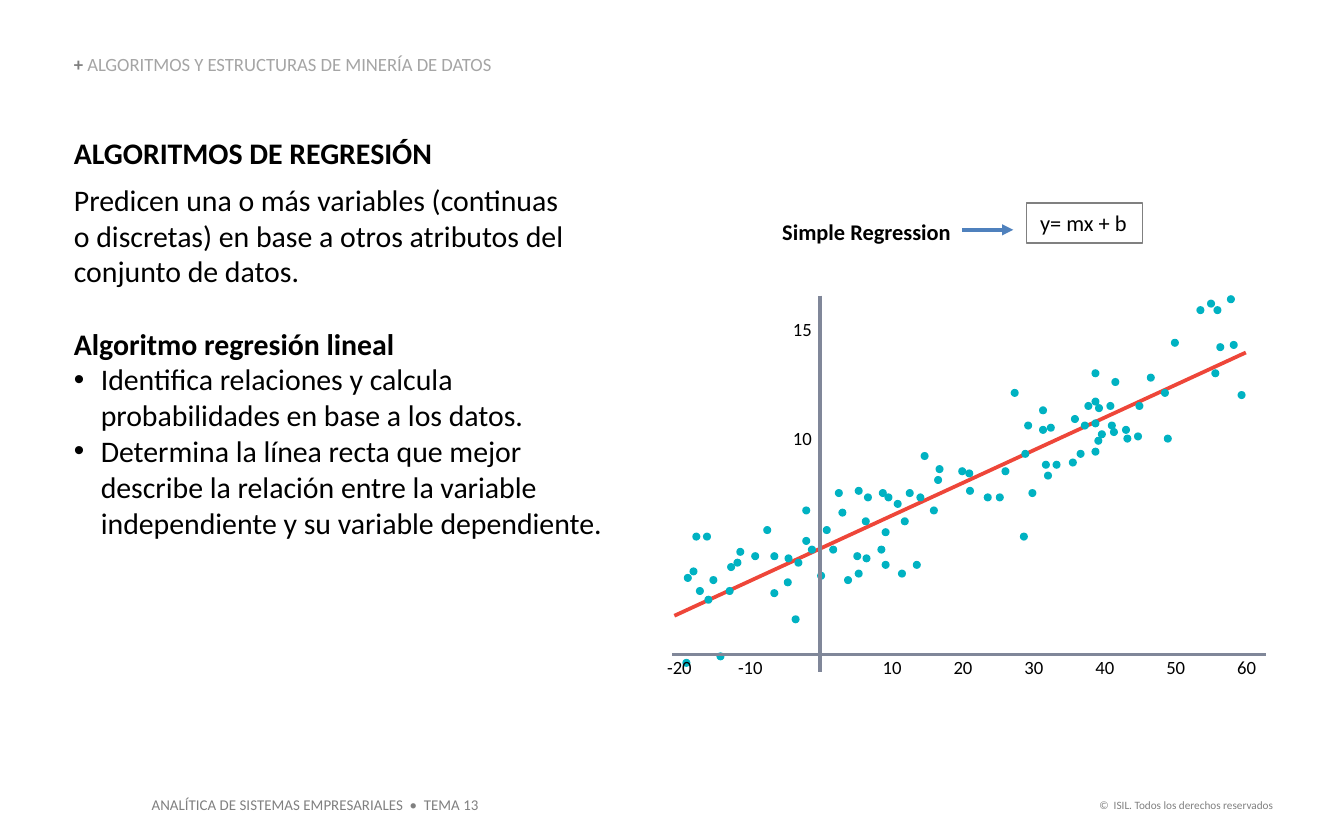
"""Build the slide on linear regression algorithms, with a scatter plot scaled from its data."""
from lxml import etree
from pptx import Presentation
from pptx import util as u
from pptx.dml.color import RGBColor
from pptx.enum import shapes, text
from pptx.oxml.ns import qn

FONT = "Calibri"
BLACK, GRAY, AXIS, RED, TEAL, BLUE = "000000", "808080", "808799", "EE4639", "00B2C2", "4F81BD"
LEFT, CENTER, RIGHT = text.PP_ALIGN.LEFT, text.PP_ALIGN.CENTER, text.PP_ALIGN.RIGHT
NO_MARGINS, PADDED = (0, 0, 0, 0), (0.1, 0.05, 0.1, 0.05)

HEADER = [("+ ", "7F7F7F", True), ("ALGORITMOS Y ESTRUCTURAS DE MINERÍA DE DATOS", "A5A5A5", False)]
BODY = [
    dict(words="ALGORITMOS DE REGRESIÓN", bold=True, after=6),
    dict(words="Predicen una o más variables (continuas \vo discretas) en base a otros atributos "
               "del conjunto de datos."),
    dict(words="Algoritmo regresión lineal", bold=True, before=19.5),
    dict(words="Identifica relaciones y calcula probabilidades en base a los datos.", bullet=True),
    dict(words="Determina la línea recta que mejor describe la relación entre la variable "
               "independiente y su variable dependiente.", bullet=True),
]
FOOTERS = [
    ("ANALÍTICA DE SISTEMAS EMPRESARIALES  •  TEMA 13", (1.03, 5.87, 2.64, 0.24), 8, LEFT),
    ("©  ISIL. Todos los derechos reservados", (8.05, 5.89, 1.52, 0.2), 6, RIGHT),
]

SLOPE, INTERCEPT = 0.15, 5.07
TREND_X = (-20.7, 59.9)
X_TICKS = [v for v in range(-20, 61, 10) if v]
Y_TICKS = [10, 15]
OBSERVATIONS_BY_X_BAND = {
    "-20 to -10": [(-19, -0.2), (-18.8, 3.7), (-18, 4), (-17.6, 5.6), (-17.1, 3.1), (-16.1, 5.6), (-15.9, 2.7),
                   (-15.2, 3.6), (-14.2, 0.1), (-12.9, 3.1), (-12.7, 4.2), (-11.8, 4.4), (-11.4, 4.9)],
    "-10 to 0": [(-9.3, 4.7), (-7.6, 5.9), (-6.6, 4.7), (-6.6, 3), (-4.7, 3.5), (-4.6, 4.6), (-3.6, 1.8),
                 (-3.2, 4.4), (-2.1, 6.8), (-2.1, 5.4), (-1.3, 5)],
    "0 to 10": [(0, 3.8), (0.8, 5.9), (1.7, 5), (2.5, 7.6), (3, 6.7), (3.8, 3.6), (5.1, 4.7), (5.3, 7.7), (5.3, 3.9),
                (6.3, 6.3), (6.4, 4.6), (6.6, 7.4), (8.5, 5), (8.7, 7.6), (9.1, 5.8), (9.1, 4.3), (9.5, 7.4)],
    "10 to 20": [(10.8, 7.1), (11.4, 3.9), (11.8, 6.3), (12.5, 7.6), (13.5, 4.3), (14, 7.4), (14.6, 9.3),
                 (15.9, 6.8), (16.5, 8.2), (16.7, 8.7), (19.9, 8.6)],
    "20 to 30": [(20.9, 8.5), (21, 7.7), (23.5, 7.4), (25.2, 7.4), (26, 8.6), (27.3, 12.2), (28.6, 5.6),
                 (28.8, 9.4), (29.2, 10.7), (29.8, 7.6)],
    "30 to 40": [(31.3, 11.4), (31.3, 10.5), (31.7, 8.9), (32, 8.4), (32.4, 10.6), (33.2, 8.9), (35.5, 9),
                 (35.8, 11), (36.6, 9.4), (37.2, 10.7), (37.7, 11.6), (38.7, 13.1), (38.7, 11.8),
                 (38.7, 10.8), (38.7, 9.5), (39.1, 10), (39.2, 11.5), (39.6, 10.3)],
    "40 to 50": [(40.8, 11.6), (41, 10.7), (41.3, 10.4), (41.5, 12.7), (43, 10.5), (43.2, 10.1), (44.7, 10.2),
                 (44.9, 11.6), (46.5, 12.9), (48.5, 12.2), (48.9, 10.1), (49.9, 14.5)],
    "50 to 60": [(53.5, 16), (55, 16.3), (55.6, 13.1), (55.9, 16), (56.3, 14.3), (57.8, 16.5), (58.2, 14.4),
                 (59.3, 12.1)],
}

ZERO_X, ZERO_Y = 6.11, 4.9
INCHES_PER_X, INCHES_PER_Y = 4.22 / 80, 0.81 / 5
Y_AXIS, X_AXIS = (6.1, 2.2, 6.1, 5), (5, 4.87, 9.42, 4.87)
DOT, TICK_W, TICK_H = 0.06, 0.41, 0.21
X_TICK_TOP, Y_TICK_LEFT = 4.88, 5.63


def x_at(value):
    return ZERO_X + value * INCHES_PER_X


def y_at(value):
    return ZERO_Y - value * INCHES_PER_Y


def trend(x):
    return SLOPE * x + INTERCEPT


def rgb(color):
    return RGBColor.from_string(color)


def inches(values):
    return [u.Inches(v) for v in values]


def add_run(p, words, size, color, bold=False):
    r = p.add_run()
    r.text = words
    r.font.name, r.font.size, r.font.bold = FONT, u.Pt(size), bold
    r.font.color.rgb = rgb(color)


def set_frame(tf, wrap=True, margins=NO_MARGINS, anchor=text.MSO_ANCHOR.TOP):
    tf.word_wrap = wrap
    tf.auto_size = text.MSO_AUTO_SIZE.NONE
    tf.vertical_anchor = anchor
    tf.margin_left, tf.margin_top, tf.margin_right, tf.margin_bottom = inches(margins)


def add_label(s, words, box, size, color=BLACK, align=LEFT, bold=False, **frame):
    sp = s.shapes.add_textbox(*inches(box))
    set_frame(sp.text_frame, **frame)
    p = sp.text_frame.paragraphs[0]
    p.alignment = align
    add_run(p, words, size, color, bold)
    return sp


def add_line(s, ends, color, arrow=False):
    sp = s.shapes.add_connector(shapes.MSO_CONNECTOR.STRAIGHT, *inches(ends))
    sp.line.color.rgb, sp.line.width = rgb(color), u.Pt(2)
    if arrow:
        etree.SubElement(sp.line._get_or_add_ln(), qn("a:tailEnd"), type="triangle")
    etree.SubElement(sp._element.spPr, qn("a:effectLst"))


def add_dot(s, x, y):
    sp = s.shapes.add_shape(shapes.MSO_SHAPE.OVAL, *inches((x_at(x) - DOT / 2, y_at(y) - DOT / 2, DOT, DOT)))
    sp.shadow.inherit = False
    sp.fill.solid()
    sp.fill.fore_color.rgb = rgb(TEAL)
    sp.line.fill.background()


def place(sp, box):
    sp.left, sp.top, sp.width, sp.height = inches(box)


def fill_header(sp):
    place(sp, (0.55, 0.41, 4.81, 0.15))
    set_frame(sp.text_frame, anchor=text.MSO_ANCHOR.BOTTOM)
    p = sp.text_frame.paragraphs[0]
    p.alignment, p.line_spacing = LEFT, 0.9
    for words, color, bold in HEADER:
        add_run(p, words, 10, color, bold)


def fill_paragraph(p, words, bold=False, bullet=False, before=0, after=0):
    pPr = p._p.get_or_add_pPr()
    indent = u.Inches(0.2) if bullet else 0
    pPr.set("marL", str(indent))
    pPr.set("indent", str(-indent))
    if bullet:
        etree.SubElement(pPr, qn("a:buFont"), typeface="Arial")
        etree.SubElement(pPr, qn("a:buChar"), char="•")
    else:
        etree.SubElement(pPr, qn("a:buNone"))
    p.space_before, p.space_after = u.Pt(before), u.Pt(after)
    for i, line in enumerate(words.split("\v")):
        if i:
            p.add_line_break()
        add_run(p, line, 16, BLACK, bold)


def fill_body(sp):
    place(sp, (0.55, 1, 4.1, 3.46))
    tf = sp.text_frame
    set_frame(tf)
    for i, paragraph in enumerate(BODY):
        fill_paragraph(tf.add_paragraph() if i else tf.paragraphs[0], **paragraph)


def draw_plot(s):
    start, end = TREND_X
    add_line(s, (x_at(start), y_at(trend(start)), x_at(end), y_at(trend(end))), RED)
    for band in OBSERVATIONS_BY_X_BAND.values():
        for x, y in band:
            add_dot(s, x, y)
    for axis in (Y_AXIS, X_AXIS):
        add_line(s, axis, AXIS)
    for v in Y_TICKS:
        add_label(s, str(v), (Y_TICK_LEFT, y_at(v) - TICK_H / 2, TICK_W, TICK_H), 10, align=RIGHT)
    for v in X_TICKS:
        add_label(s, str(v), (x_at(v) - TICK_W / 2, X_TICK_TOP, TICK_W, TICK_H), 10, align=CENTER)


def draw_formula(s):
    add_label(s, "Simple Regression", (5.82, 1.62, 1.31, 0.2), 12, bold=True, wrap=False)
    add_line(s, (7.16, 1.71, 7.54, 1.71), BLUE, arrow=True)
    sp = add_label(s, "y= mx + b", (7.64, 1.51, 0.86, 0.3), 12, wrap=False, margins=PADDED)
    sp.line.color.rgb, sp.line.width = rgb(GRAY), u.Pt(0.75)


def main():
    prs = Presentation()
    prs.slide_width, prs.slide_height = u.Inches(10), u.Inches(6.25)
    s = prs.slides.add_slide(prs.slide_layouts[1])
    for words, box, size, align in FOOTERS:
        add_label(s, words, box, size, GRAY, align, wrap=False, margins=PADDED)
    fill_header(s.shapes.title)
    fill_body(s.placeholders[1])
    draw_plot(s)
    draw_formula(s)
    prs.save("out.pptx")


if __name__ == "__main__":
    main()
